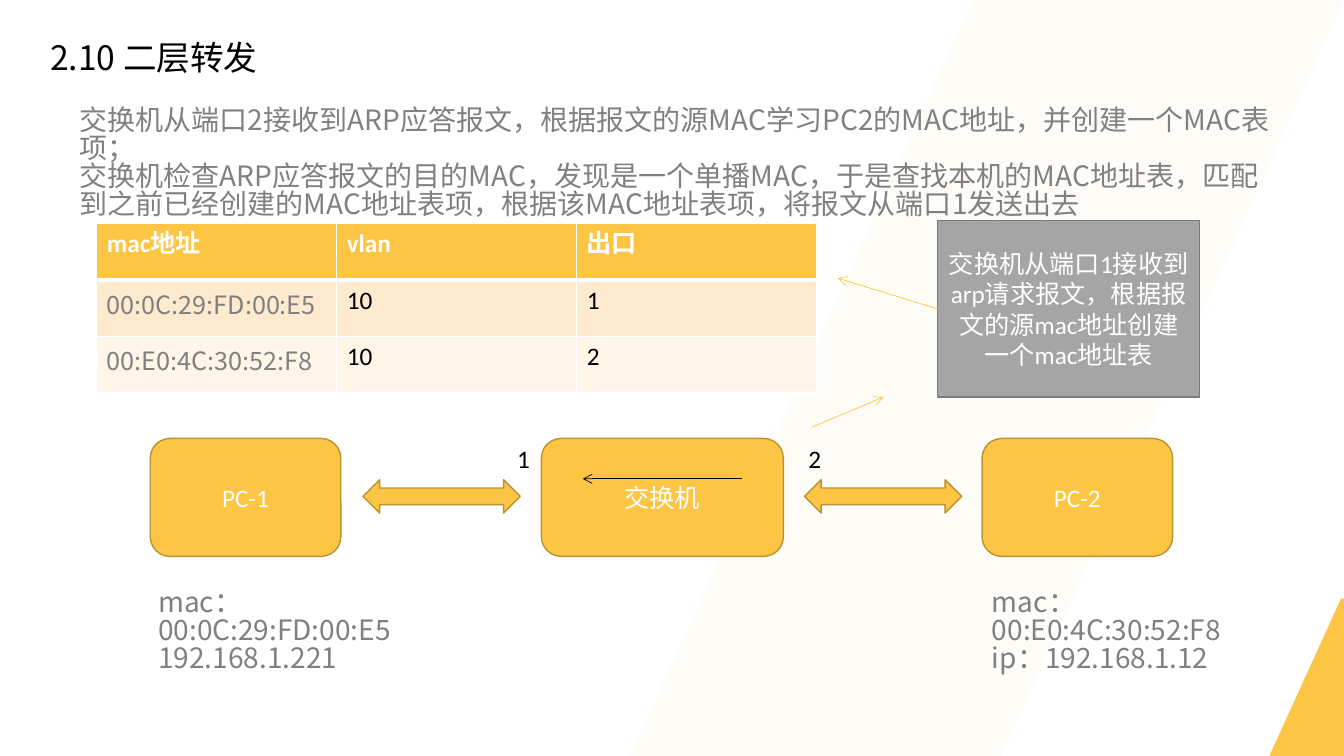
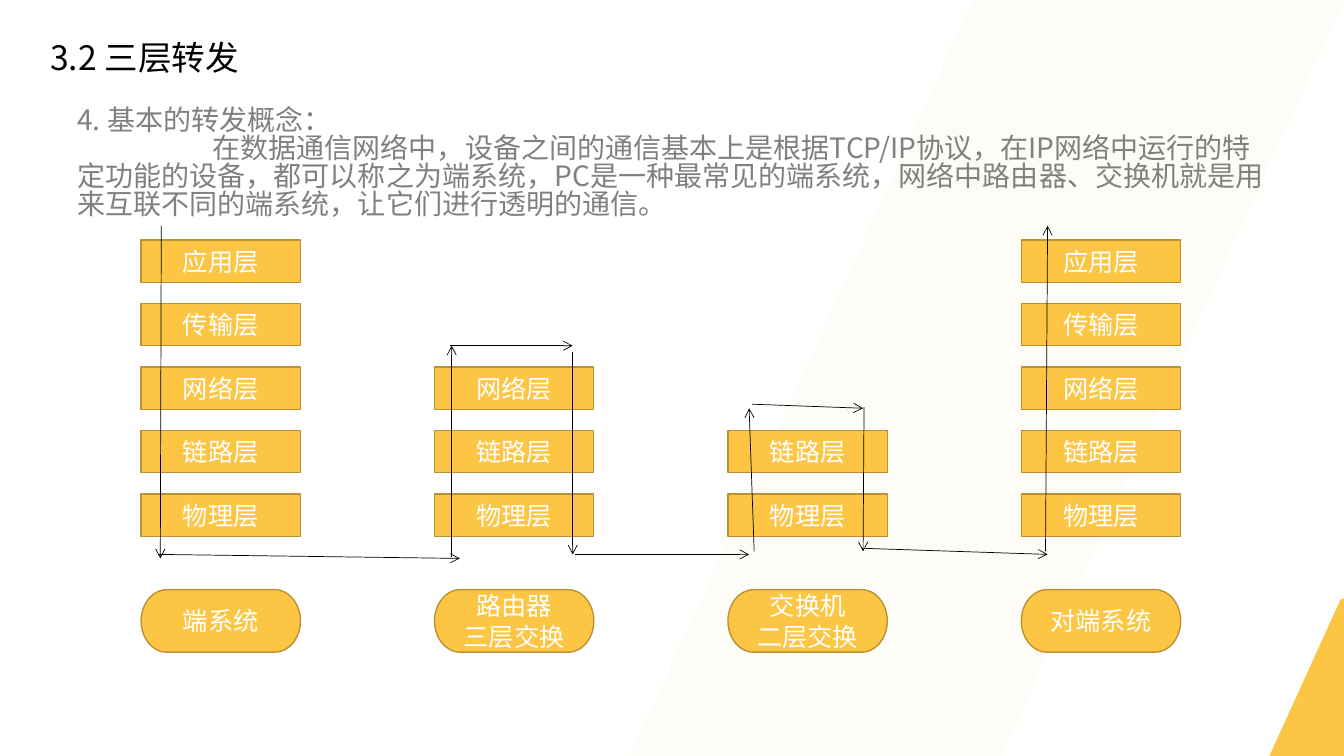
from pptx import Presentation
from pptx.dml.color import RGBColor
from pptx.enum.shapes import MSO_CONNECTOR, MSO_SHAPE
from pptx.enum.text import MSO_ANCHOR, PP_ALIGN
from pptx.oxml.ns import qn
from pptx.util import Inches, Pt
from lxml.etree import SubElement

COLORS = {
    "yellow": "FDC544",
    "yellow_edge": "BB9232",
    "gray": "A5A5A5",
    "gray_edge": "7A7A7A",
    "body": "808080",
    "black": "000000",
    "white": "FFFFFF",
    "row_dark": "FEEACF",
    "row_light": "FFF5E9",
}
CJK = "Noto Sans CJK SC"
LATIN = "Calibri"
SLIDE_W, SLIDE_H = 13.33, 7.5


def rgb(name):
    return RGBColor.from_string(COLORS[name])


def write(frame, text, size=18, font=LATIN, color="black", bold=False,
          align=None, spacing=None, first_indent=0):
    """Fill a text frame, one paragraph a line; first_indent applies to the last."""
    lines = text.split("\n")
    for i, line in enumerate(lines):
        paragraph = frame.paragraphs[0] if i == 0 else frame.add_paragraph()
        paragraph.alignment = align
        if spacing:
            paragraph.line_spacing = Pt(spacing)
        if first_indent and i == len(lines) - 1:
            properties = paragraph._p.get_or_add_pPr()
            properties.set("marL", "0")
            properties.set("indent", str(Inches(first_indent)))
        run = paragraph.add_run()
        run.text = line
        run.font.size = Pt(size)
        run.font.name = font
        run.font.bold = bold
        run.font.color.rgb = rgb(color)
        east_asian = SubElement(run.font._element, qn("a:ea"))
        east_asian.set("typeface", font)


def add_text(slide, text, left, top, width, height, wrap=True, **text_format):
    box = slide.shapes.add_textbox(
        Inches(left), Inches(top), Inches(width), Inches(height))
    box.text_frame.word_wrap = wrap
    write(box.text_frame, text, **text_format)


def add_body(slide, text, left, top, width, first_indent=0):
    add_text(slide, text, left, top, width, 1.22, size=20, font=CJK,
             color="body", spacing=20, first_indent=first_indent)


def paint(shape, fill, edge=None):
    shape.shadow.inherit = False
    shape.fill.solid()
    shape.fill.fore_color.rgb = rgb(fill)
    if edge:
        shape.line.color.rgb = rgb(edge)
        shape.line.width = Pt(1)
    else:
        shape.line.fill.background()


def add_node(slide, kind, left, top, width, height, text="",
             fill="yellow", edge="yellow_edge"):
    node = slide.shapes.add_shape(
        kind, Inches(left), Inches(top), Inches(width), Inches(height))
    paint(node, fill, edge)
    if text:
        node.text_frame.word_wrap = True
        node.text_frame.vertical_anchor = MSO_ANCHOR.MIDDLE
        write(node.text_frame, text, color="white", align=PP_ALIGN.CENTER)
    return node


def add_arrow(slide, start, end, color="black"):
    arrow = slide.shapes.add_connector(
        MSO_CONNECTOR.STRAIGHT, *(Inches(v) for v in (*start, *end)))
    arrow.line.color.rgb = rgb(color)
    arrow.line.width = Pt(0.5)
    SubElement(arrow.line._get_or_add_ln(), qn("a:tailEnd")).set("type", "arrow")
    SubElement(arrow._element.spPr, qn("a:effectLst"))
    return arrow


def add_themed_slide(prs, title):
    """Blank slide with the pale band, the corner wedge and the title."""
    slide = prs.slides.add_slide(prs.slide_layouts[6])
    band = add_node(slide, MSO_SHAPE.PARALLELOGRAM, 6.25, 0, 7.08, SLIDE_H, edge=None)
    band.adjustments[0] = 0.48
    tint = band._element.spPr.find(f"{qn('a:solidFill')}/{qn('a:srgbClr')}")
    SubElement(tint, qn("a:alpha")).set("val", "4000")
    add_text(slide, title, 0.4, 0.32, 7.28, 0.5, size=24, font=CJK)
    outline = slide.shapes.build_freeform(Inches(12.59), Inches(SLIDE_H))
    outline.add_line_segments(
        [(Inches(x), Inches(y)) for x, y in
         ((13.3, 5.94), (SLIDE_W, 5.94), (SLIDE_W, SLIDE_H))], close=True)
    paint(outline.convert_to_shape(), "yellow")
    return slide


def set_borders(cell, top, bottom):
    """White borders; top and bottom are widths in points."""
    properties = cell._tc.get_or_add_tcPr()
    sides = (("a:lnL", 1), ("a:lnR", 1), ("a:lnT", top), ("a:lnB", bottom))
    for i, (side, width) in enumerate(sides):
        border = SubElement(properties, qn(side), w=str(Pt(width)))
        solid = SubElement(border, qn("a:solidFill"))
        SubElement(solid, qn("a:srgbClr"), val=COLORS["white"])
        properties.insert(i, border)


def add_mac_table(slide, left, top, width, height):
    rows = [
        ("mac地址", "vlan", "出口"),
        ("00:0C:29:FD:00:E5", "10", "1"),
        ("00:E0:4C:30:52:F8", "10", "2"),
    ]
    fills = ("yellow", "row_dark", "row_light")
    table = slide.shapes.add_table(
        len(rows), len(rows[0]), Inches(left), Inches(top),
        Inches(width), Inches(height)).table
    for r, row in enumerate(rows):
        for c, value in enumerate(row):
            cell = table.cell(r, c)
            cell.fill.solid()
            cell.fill.fore_color.rgb = rgb(fills[r])
            set_borders(cell, 3 if r == 1 else 1, 3 if r == 0 else 1)
            if r == 0:
                write(cell.text_frame, value, color="white", bold=True)
            elif c == 0:
                write(cell.text_frame, value, font=CJK, color="body")
            else:
                write(cell.text_frame, value)


def add_switch_network(slide, left, top):
    """PC-1, the switch and PC-2 in a row, with ports and addresses below."""
    height = 1.17
    for text, x, width in (("PC-1", 0, 1.89), ("交换机", 3.88, 2.4), ("PC-2", 8.25, 1.89)):
        add_node(slide, MSO_SHAPE.ROUNDED_RECTANGLE, left + x, top, width, height, text)
    for x in (2.11, 6.49):
        add_node(slide, MSO_SHAPE.LEFT_RIGHT_ARROW, left + x, top + 0.41, 1.56, 0.33)
    for port, x in (("1", 3.54), ("2", 6.43)):
        add_text(slide, port, left + x, top, 0.33, 0.4, wrap=False)
    add_body(slide, "mac：\n00:0C:29:FD:00:E5\n192.168.1.221", left - 0.02, top + 1.45, 3.68)
    add_body(slide, "mac：\n00:E0:4C:30:52:F8\nip：192.168.1.12", left + 8.25, top + 1.45, 2.57)
    add_arrow(slide, (left + 5.87, top + 0.4), (left + 4.29, top + 0.4))
    add_arrow(slide, (left + 6.56, top - 0.11), (left + 7.27, top - 0.41), "yellow")


def build_layer2_slide(prs):
    slide = add_themed_slide(prs, "2.10 二层转发")
    add_body(
        slide,
        "交换机从端口2接收到ARP应答报文，根据报文的源MAC学习PC2的MAC地址，并创建一个MAC表项；\n"
        "交换机检查ARP应答报文的目的MAC，发现是一个单播MAC，于是查找本机的MAC地址表，"
        "匹配到之前已经创建的MAC地址表项，根据该MAC地址表项，将报文从端口1发送出去",
        0.69, 1.02, 12.1)
    add_switch_network(slide, 1.49, 4.35)
    learning_note = add_node(
        slide, MSO_SHAPE.RECTANGLE, 9.3, 2.19, 2.6, 1.75,
        "交换机从端口1接收到arp请求报文，根据报文的源mac地址创建一个mac地址表",
        fill="gray", edge="gray_edge")
    note_arrow = add_arrow(slide, (9.3, 3.07), (8.31, 2.76), "yellow")
    note_arrow.begin_connect(learning_note, 1)
    add_mac_table(slide, 0.96, 2.22, 7.14, 1.68)


def add_layer_stacks(slide, left, top):
    """Protocol stacks of four devices, each aligned to the physical layer."""
    layers = ("应用层", "传输层", "网络层", "链路层", "物理层")
    devices = (("端系统", 5), ("路由器\n三层交换", 3), ("交换机\n二层交换", 2), ("对端系统", 5))
    column_pitch, row_pitch, width = 2.91, 0.63, 1.58
    for column, (device, depth) in enumerate(devices):
        x = left + column * column_pitch
        for row in range(len(layers) - depth, len(layers)):
            add_node(slide, MSO_SHAPE.RECTANGLE, x, top + row * row_pitch,
                     width, 0.42, layers[row])
        add_node(slide, MSO_SHAPE.FLOWCHART_TERMINATOR, x, top + 3.47, width, 0.62, device)


def add_packet_route(slide, left, top):
    """Arrows of a packet going down, up and across the stacks."""
    hops = (
        ((0.2, -0.14), (0.19, 3.16)),
        ((0.17, 3.12), (3.16, 3.16)),
        ((3.08, 3.15), (3.08, 1.05)),
        ((3.06, 1.05), (4.28, 1.05)),
        ((4.28, 1.11), (4.28, 3.12)),
        ((4.3, 3.12), (6.03, 3.12)),
        ((6.08, 3.09), (6.03, 1.67)),
        ((6.06, 1.63), (7.16, 1.67)),
        ((7.17, 1.66), (7.16, 3.09)),
        ((7.17, 3.06), (8.99, 3.12)),
        ((8.97, 3.09), (8.99, -0.14)),
    )
    for hop in hops:
        add_arrow(slide, *((left + x, top + y) for x, y in hop))


def build_layer3_slide(prs):
    slide = add_themed_slide(prs, "3.2 三层转发")
    add_body(
        slide,
        "4. 基本的转发概念：\n"
        "在数据通信网络中，设备之间的通信基本上是根据TCP/IP协议，在IP网络中运行的特定功能的设备，"
        "都可以称之为端系统，PC是一种最常见的端系统，网络中路由器、交换机就是用来互联不同的端系统，"
        "让它们进行透明的通信。",
        0.67, 1.02, 12.1, first_indent=1.34)
    add_layer_stacks(slide, 1.4, 2.38)
    add_packet_route(slide, 1.4, 2.38)


def main():
    prs = Presentation()
    prs.slide_width, prs.slide_height = Inches(SLIDE_W), Inches(SLIDE_H)
    build_layer2_slide(prs)
    build_layer3_slide(prs)
    prs.save("out.pptx")


if __name__ == "__main__":
    main()
